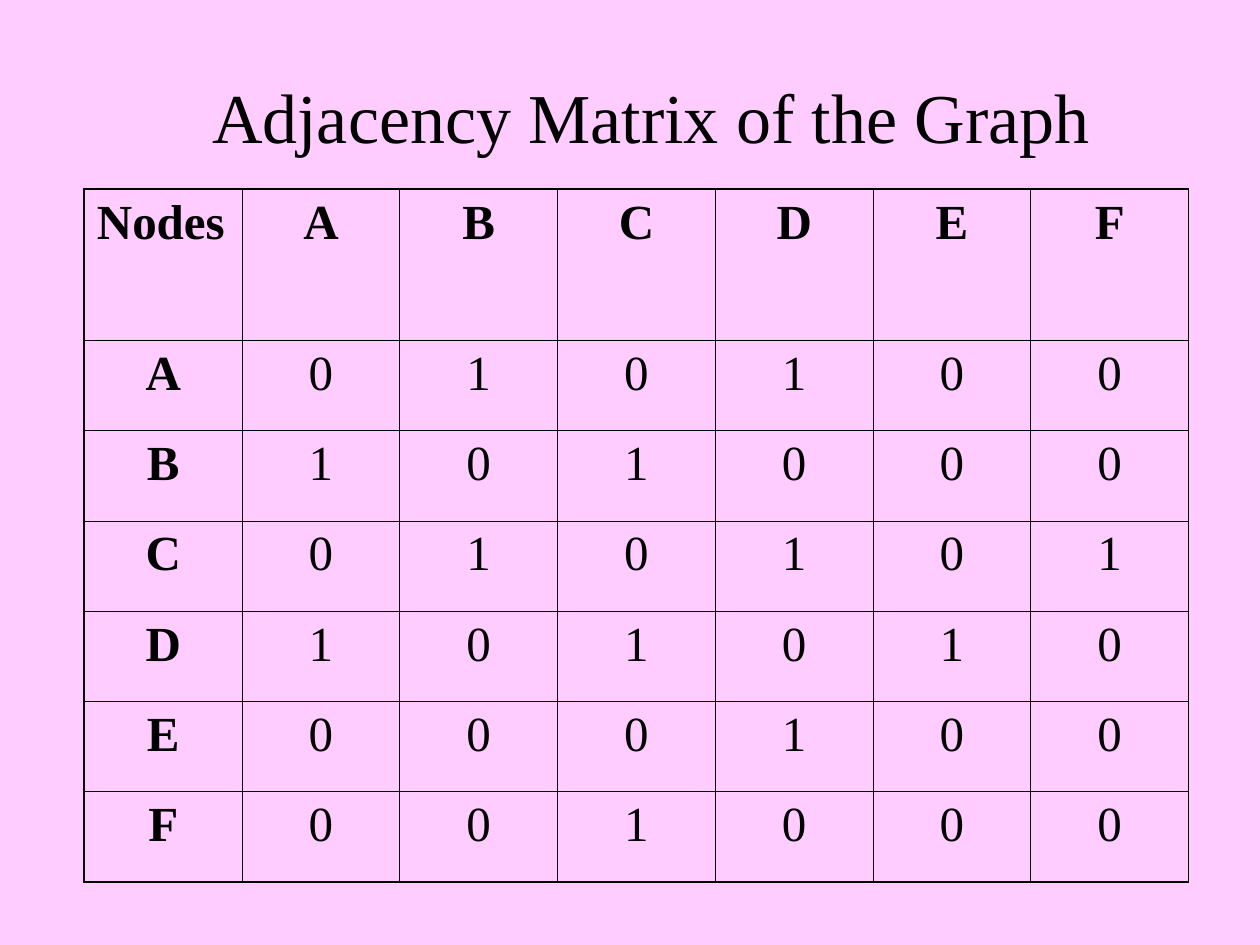
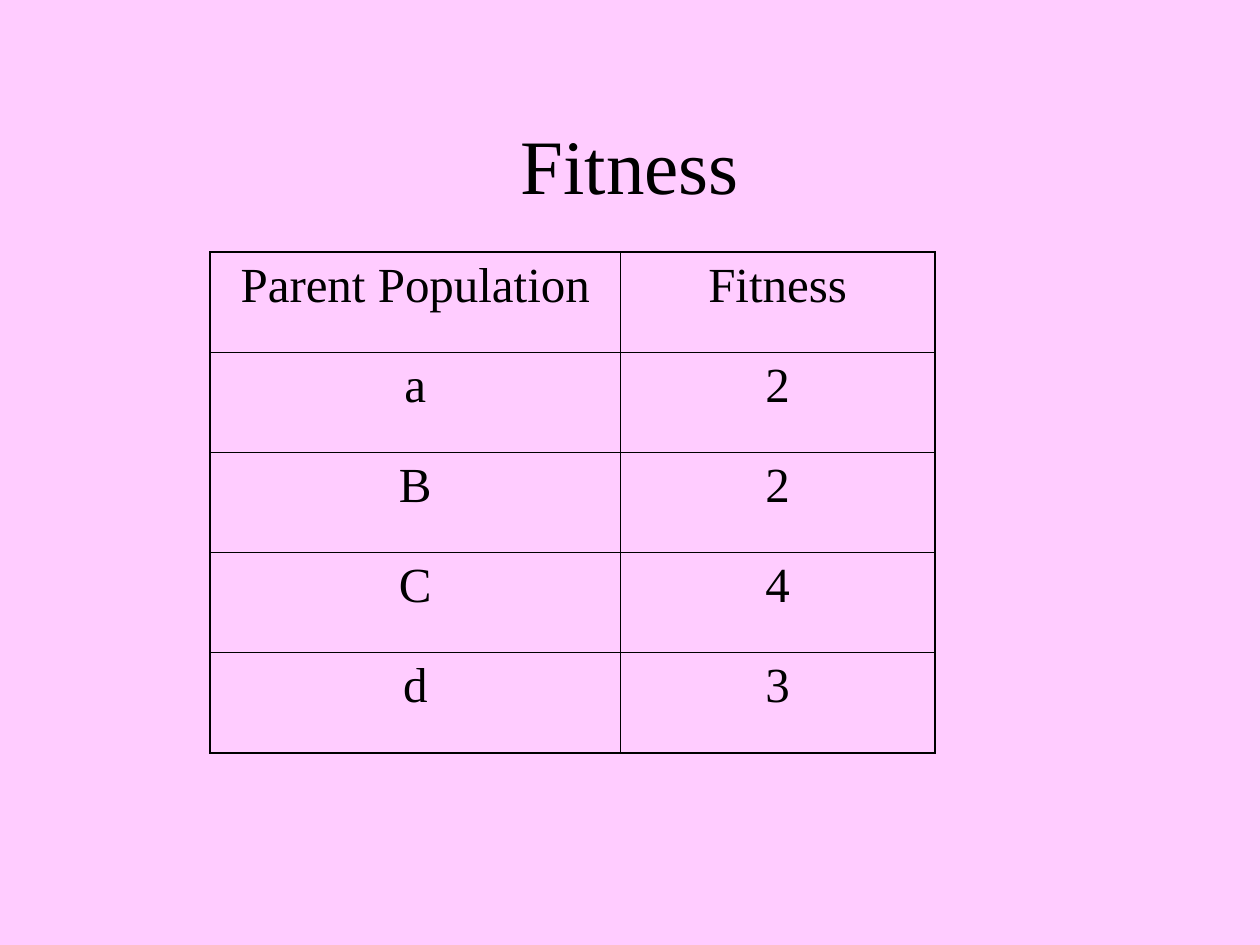
from pptx import Presentation
from pptx.dml.color import RGBColor as Rgb
from pptx.enum.text import MSO_ANCHOR as Anchor, MSO_AUTO_SIZE as Fit, PP_ALIGN as Align
from pptx.oxml import parse_xml
from pptx.oxml.ns import nsdecls
from pptx.util import Cm, Pt

PINK, BLACK = "FFCCFF", "000000"
FONT = "Times New Roman"
THICK, THIN = Pt(1.08), Pt(0.45)


def color(code):
    return Rgb.from_string(code)


class Deck:
    def __init__(self):
        self.prs = Presentation()
        self.prs.slide_width, self.prs.slide_height = Cm(25.4), Cm(19.05)
        fill = self.prs.slide_master.background.fill
        fill.solid()
        fill.fore_color.rgb = color(PINK)
        self.slide = None

    def style(self, para, size, bold=False, align=Align.CENTER):
        para.alignment = align
        font = para.font
        font.name, font.size, font.bold = FONT, Pt(size), bold
        font.color.rgb = color(BLACK)

    def title(self, text, size, left, top, width, height):
        self.slide = self.prs.slides.add_slide(self.prs.slide_layouts[5])
        box = self.slide.shapes.title
        box.left, box.top, box.width, box.height = Cm(left), Cm(top), Cm(width), Cm(height)
        frame = box.text_frame
        frame.text = text
        frame.auto_size, frame.vertical_anchor = Fit.NONE, Anchor.MIDDLE
        self.style(frame.paragraphs[0], size)

    def edge(self, cell, side, width):
        cell._tc.get_or_add_tcPr().append(parse_xml(
            f'<a:ln{side} {nsdecls("a")} w="{int(width)}">'
            f'<a:solidFill><a:srgbClr val="{BLACK}"/></a:solidFill></a:ln{side}>'))

    def table(self, rows, left, top, widths, heights, heads=False):
        """Draw a grid with a thick frame; heads makes the first row and column bold."""
        last_row, last_col = len(rows) - 1, len(widths) - 1
        grid = self.slide.shapes.add_table(
            len(rows), len(widths), Cm(left), Cm(top), Cm(sum(widths)), Cm(sum(heights))).table
        grid.first_row = grid.horz_banding = False
        for col, width in zip(grid.columns, widths):
            col.width = Cm(width)
        for row, height in zip(grid.rows, heights):
            row.height = Cm(height)

        for r, row in enumerate(rows):
            for c, text in enumerate(row):
                cell = grid.cell(r, c)
                cell.text = text
                para = cell.text_frame.paragraphs[0]
                corner = heads and r == c == 0
                self.style(para, 28, heads and 0 in (r, c),
                           Align.LEFT if corner else Align.CENTER)
                para.space_before = Pt(7)
                # Borders come before the fill in the cell properties
                outer = {"L": c == 0, "R": c == last_col, "T": r == 0, "B": r == last_row}
                for side, thick in outer.items():
                    self.edge(cell, side, THICK if thick else THIN)
                cell.fill.background()


def main():
    deck = Deck()

    # Adjacency matrix
    nodes = "ABCDEF"
    links = ["010100", "101000", "010101", "101010", "000100", "001000"]
    matrix = [["Nodes", *nodes]] + [[node, *bits] for node, bits in zip(nodes, links)]
    deck.title("Adjacency Matrix of the Graph", 40, 2.75, 1.7, 20.75, 1.27)
    deck.table(matrix, 1.7, 3.81, [3.18] * 7, [3.05] + [1.82] * 6, heads=True)

    # Fitness of the parents
    scores = [("Parent Population", "Fitness"),
              ("a", "2"), ("B", "2"), ("C", "4"), ("d", "3")]
    deck.title("Fitness", 44, 1.9, 1.7, 21.6, 3.18)
    deck.table(scores, 4.24, 5.08, [8.26, 6.35], [2.02] * 5)

    deck.prs.save("out.pptx")


if __name__ == "__main__":
    main()
